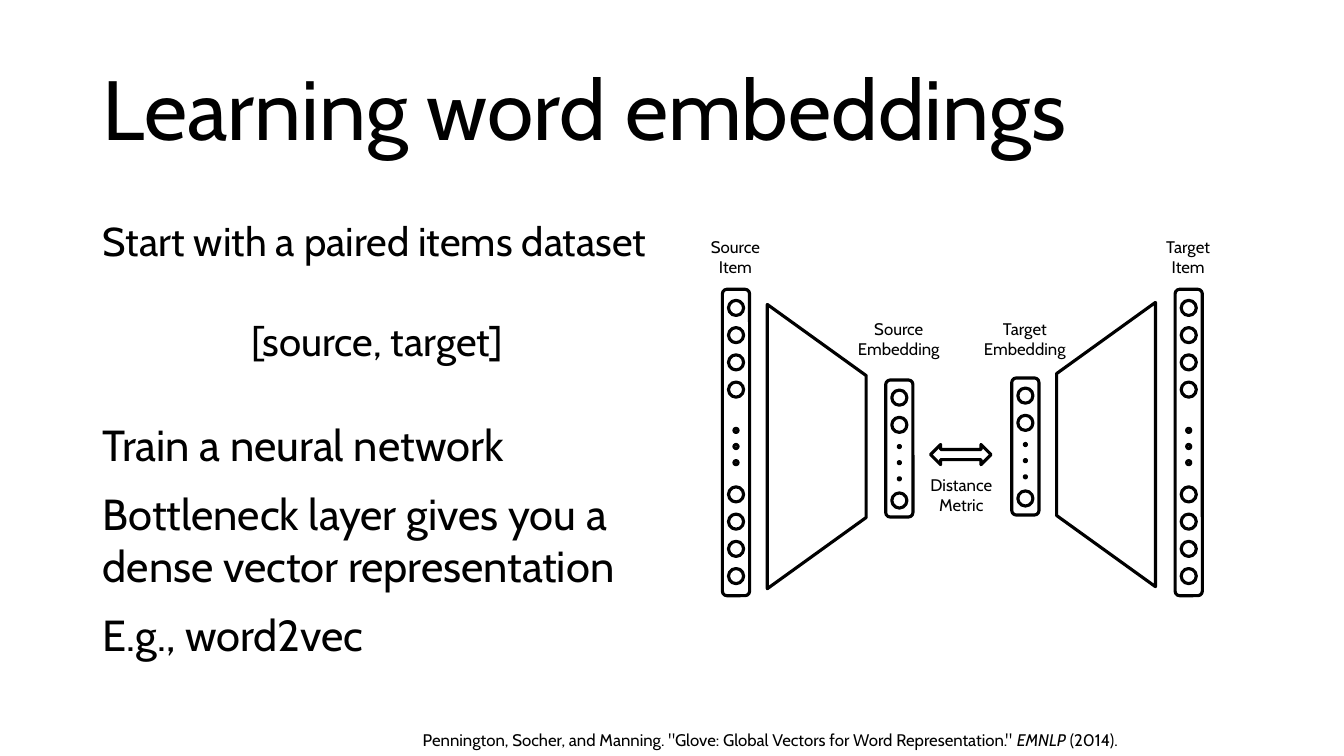
from pptx import Presentation
from pptx.dml.color import RGBColor
from pptx.enum.shapes import MSO_SHAPE
from pptx.enum.text import MSO_ANCHOR, MSO_AUTO_SIZE, PP_ALIGN
from pptx.oxml.ns import qn
from pptx.util import Inches, Pt
from lxml.etree import SubElement

COLORS = {"ink": "000000", "paper": "FFFFFF"}
FONT = "Cabin"


class EmbeddingSlide:
    """Holds the slide and its style, with a method for each kind of element."""

    def __init__(self, deck):
        self.slide = deck.slides.add_slide(deck.slide_layouts[3])
        self.slide.background.fill.solid()
        self.slide.background.fill.fore_color.rgb = self.color("paper")

    def color(self, name):
        """Return a named colour."""
        return RGBColor.from_string(COLORS[name])

    def add_runs(self, frame, paragraphs, size, align, line=1.0, before=0, after=0):
        """Fill a frame with paragraphs, each a list of (text, italic) runs."""
        for number, runs in enumerate(paragraphs):
            paragraph = frame.paragraphs[0] if number == 0 else frame.add_paragraph()
            paragraph.alignment = align[number] if isinstance(align, list) else align
            paragraph.line_spacing = line
            paragraph.space_before = Pt(before if number else 0)
            paragraph.space_after = Pt(after)
            for text, italic in runs:
                run = paragraph.add_run()
                run.text = text
                run.font.name = FONT
                run.font.size = Pt(size)
                run.font.italic = italic
                run.font.color.rgb = self.color("ink")

    def placeholder(self, index, box, lines, size, align, anchor=MSO_ANCHOR.TOP, **spacing):
        """Move a template placeholder and fill it with unbulleted lines."""
        holder = self.slide.placeholders[index]
        holder.left, holder.top, holder.width, holder.height = map(Inches, box)
        frame = holder.text_frame
        frame.auto_size = MSO_AUTO_SIZE.NONE
        frame.vertical_anchor = anchor
        self.add_runs(frame, [[(text, False)] for text in lines], size, align, **spacing)
        for paragraph in frame.paragraphs:
            properties = paragraph._p.get_or_add_pPr()
            properties.set("marL", "0")
            properties.set("indent", "0")
            SubElement(properties, qn("a:buNone"))

    def text(self, box, paragraphs, wrap=True):
        """Add a centred 12-point text box."""
        frame = self.slide.shapes.add_textbox(*map(Inches, box)).text_frame
        frame.word_wrap = wrap
        self.add_runs(frame, paragraphs, 12, PP_ALIGN.CENTER)

    def label(self, center, top, *lines):
        """Add a label centred on a part of the network."""
        self.text((center - 0.54, top, 1.07, 0.5), [[(line, False)] for line in lines])

    def outline(self, kind, center, top, width, height, rotation=0, adjustment=None):
        """Add a white shape with a black outline."""
        shape = self.slide.shapes.add_shape(
            kind, Inches(center - width / 2), Inches(top), Inches(width), Inches(height))
        shape.shadow.inherit = False
        shape.fill.solid()
        shape.fill.fore_color.rgb = self.color("paper")
        shape.line.color.rgb = self.color("ink")
        shape.line.width = Pt(2.25)
        shape.rotation = rotation
        if adjustment is not None:
            shape.adjustments[0] = adjustment

    def layer(self, center, top, height, units, first_dot, dot_size):
        """Add a layer of units with three dots standing for the rest."""
        self.outline(MSO_SHAPE.ROUNDED_RECTANGLE, center, top, 0.27, height)
        for offset in units:
            self.outline(MSO_SHAPE.OVAL, center, top + offset, 0.15, 0.15)
        for step in range(3):
            self.outline(MSO_SHAPE.OVAL, center, top + first_dot + 0.16 * step,
                         dot_size, dot_size)


def main():
    """Build and save the slide."""
    deck = Presentation()
    deck.slide_width, deck.slide_height = Inches(13.33), Inches(7.5)
    page = EmbeddingSlide(deck)

    page.placeholder(0, (0.92, 0.4, 11.5, 1.45), ["Learning word embeddings"], 60,
                     PP_ALIGN.LEFT, MSO_ANCHOR.MIDDLE, line=0.9)
    page.placeholder(1, (0.92, 2, 5.64, 1.86),
                     ["Start with a paired items dataset", "[source, target]"], 28.7,
                     [PP_ALIGN.JUSTIFY, PP_ALIGN.CENTER], line=1.2, before=12, after=18)
    page.placeholder(2, (0.92, 4.1, 5.64, 2.65),
                     ["Train a neural network",
                      "Bottleneck layer gives you a dense vector representation",
                      "E.g., word2vec"], 31, PP_ALIGN.LEFT, after=12)
    page.text((4.09, 7.19, 7.1, 0.3),
              [[('Pennington, Socher, and Manning. "Glove: Global Vectors for Word '
                 'Representation." ', False), ("EMNLP", True), (" (2014).", False)]],
              wrap=False)

    item_units = [start + 0.27 * step for start in (0.11, 1.96) for step in range(4)]
    for name, item, embedding, embedding_top, funnel, funnel_top, turn in (
            ("Source", 7.3, 8.92, 3.77, 8.1, 3.94, 90),
            ("Target", 11.79, 10.17, 3.75, 10.97, 3.92, 270)):
        page.layer(item, 2.87, 3.04, item_units, 1.38, 0.04)
        page.layer(embedding, embedding_top, 1.36, (0.1, 0.37, 1.12), 0.65, 0.02)
        page.outline(MSO_SHAPE.TRAPEZOID, funnel, funnel_top, 2.82, 0.98, turn, 0.72)
        page.label(item, 2.3, name, "Item")
        page.label(embedding, 3.11, name, "Embedding")

    page.outline(MSO_SHAPE.LEFT_RIGHT_ARROW, 9.53, 4.41, 0.6, 0.2)
    page.label(9.54, 4.66, "Distance", "Metric")
    deck.save("out.pptx")


if __name__ == "__main__":
    main()
